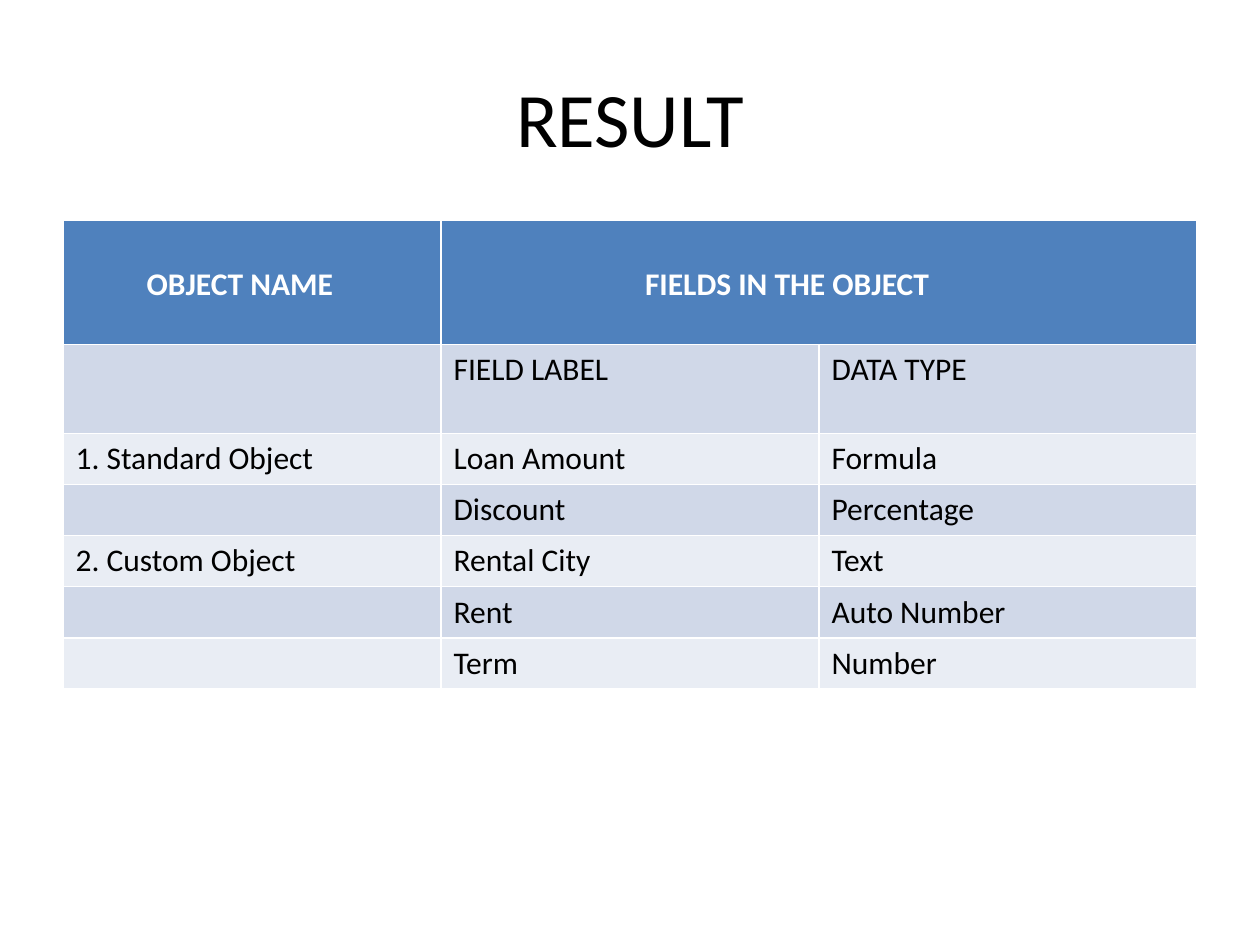
from pptx import Presentation
from pptx.dml.color import RGBColor
from pptx.enum import text
from pptx.util import Pt

FONT = "Calibri"
HEADER_FILL = "4F81BD"
BAND_FILLS = ("D0D8E8", "E9EDF4")
HEADERS = ("OBJECT NAME", "FIELDS IN THE OBJECT")
HEADER_INDENTS = (47.8, 116.6)
HEADER_TOP = 25.6
ROW_HEIGHTS = [70.9, 50.8] + [29.2] * 5
FIELDS = [
    ("", "FIELD LABEL", "DATA TYPE"),
    ("1. Standard Object", "Loan Amount", "Formula"),
    ("", "Discount", "Percentage"),
    ("2. Custom Object", "Rental City", "Text"),
    ("", "Rent", "Auto Number"),
    ("", "Term", "Number"),
]


def color(value):
    return RGBColor.from_string(value)


def format_text(text_frame, size, font_color, bold=False):
    for paragraph in text_frame.paragraphs:
        for run in paragraph.runs:
            run.font.name = FONT
            run.font.size = Pt(size)
            run.font.bold = bold
            run.font.color.rgb = color(font_color)


def fill_cell(cell, wording, fill, font_color, bold=False):
    cell.fill.solid()
    cell.fill.fore_color.rgb = color(fill)
    cell.text_frame.text = wording
    format_text(cell.text_frame, 18, font_color, bold)


def add_title(slide, left, top, width, height):
    title = slide.shapes.title
    title.left, title.top = Pt(left), Pt(top)
    title.width, title.height = Pt(width), Pt(height)
    title.text_frame.text = "RESULT"
    title.text_frame.vertical_anchor = text.MSO_ANCHOR.MIDDLE
    title.text_frame.paragraphs[0].alignment = text.PP_ALIGN.CENTER
    format_text(title.text_frame, 44, "000000")


def add_field_table(slide, left, top, width):
    column_count = len(FIELDS[0])
    table = slide.shapes.add_table(
        len(ROW_HEIGHTS), column_count,
        Pt(left), Pt(top), Pt(width), Pt(sum(ROW_HEIGHTS)),
    ).table
    for column in table.columns:
        column.width = Pt(width / column_count)
    for row, height in zip(table.rows, ROW_HEIGHTS):
        row.height = Pt(height)

    table.cell(0, 1).merge(table.cell(0, 2))
    for index, (header, indent) in enumerate(zip(HEADERS, HEADER_INDENTS)):
        cell = table.cell(0, index)
        fill_cell(cell, header, HEADER_FILL, "FFFFFF", bold=True)
        cell.margin_left, cell.margin_top = Pt(indent), Pt(HEADER_TOP)

    for row_index, values in enumerate(FIELDS):
        fill = BAND_FILLS[row_index % 2]
        for column_index, value in enumerate(values):
            fill_cell(table.cell(row_index + 1, column_index), value, fill, "000000")


def main():
    presentation = Presentation()
    presentation.slide_width, presentation.slide_height = Pt(720), Pt(540)
    slide = presentation.slides.add_slide(presentation.slide_layouts[5])
    add_title(slide, 36, 21.6, 648, 90)
    add_field_table(slide, 36, 126, 648)
    presentation.save("out.pptx")


if __name__ == "__main__":
    main()
